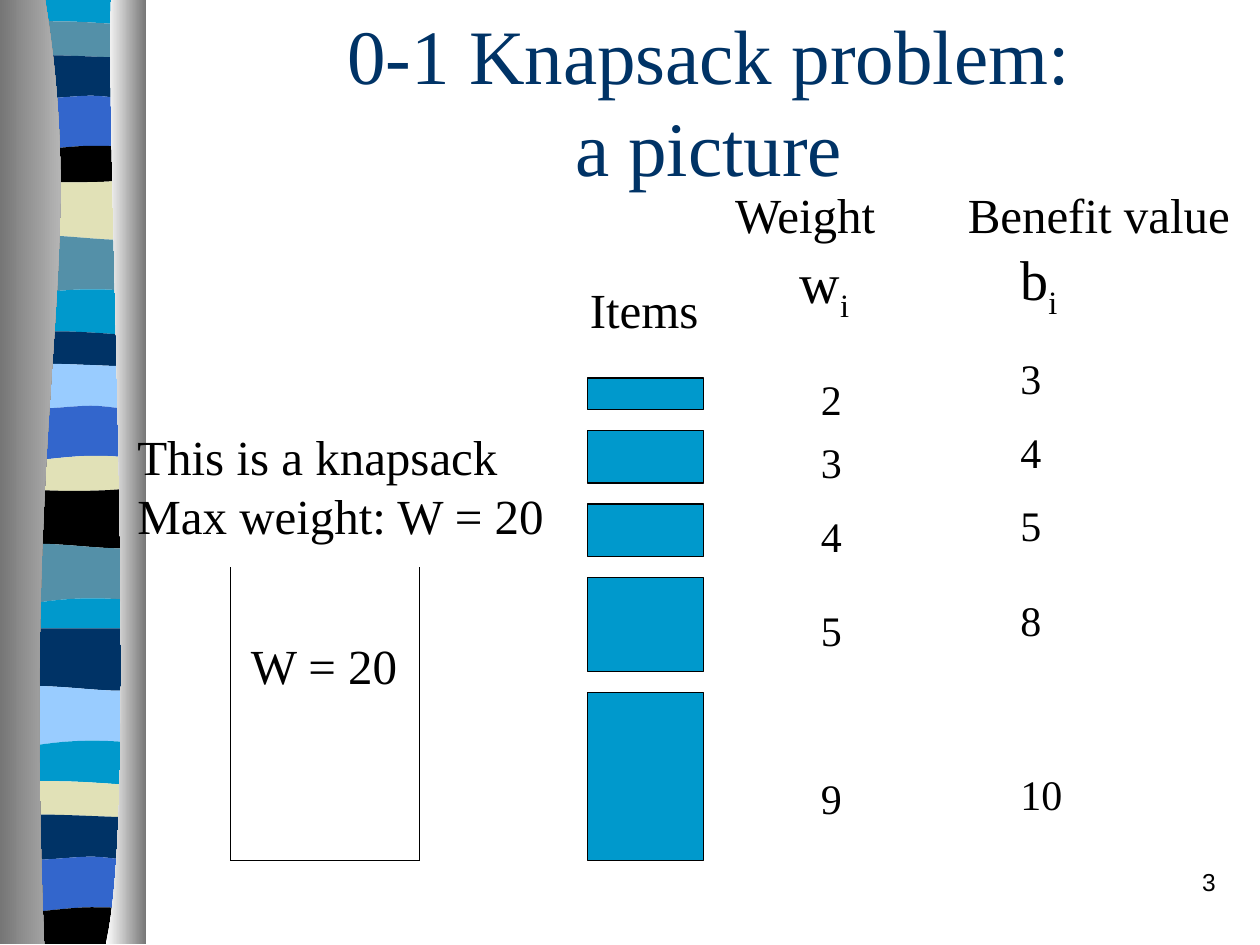
from itertools import pairwise

from lxml.etree import SubElement
from pptx import Presentation
from pptx.dml.color import RGBColor
from pptx.enum.shapes import MSO_CONNECTOR as Connector, MSO_SHAPE as Shape
from pptx.enum.text import MSO_ANCHOR as Anchor, MSO_AUTO_SIZE as AutoSize, PP_ALIGN as Align
from pptx.oxml.ns import qn
from pptx.util import Cm, Pt

COLORS = {"cyan": "0099CC", "teal": "5490A8", "navy": "003366", "blue": "3366CC",
          "black": "000000", "sand": "E1E1B7", "sky": "99CCFF",
          "gray": "767676", "silver": "D3D3D3", "white": "FFFFFF"}
SERIF = "Times New Roman"

TITLE = "0-1 Knapsack problem:\va picture"

# weight, benefit, bar height, top of weight, top of benefit (cm)
ITEMS = [
    ("2", "3", 0.64, 7.41, 6.99),
    ("3", "4", 1.06, 8.68, 8.47),
    ("4", "5", 1.06, 10.16, 9.95),
    ("5", "8", 1.9, 12.07, 11.85),
    ("9", "10", 3.39, 15.45, 15.37),
]
BAR_LEFT, BAR_TOP, BAR_WIDTH, BAR_GAP = 11.85, 7.62, 2.33, 0.42
WEIGHT_LEFT, BENEFIT_LEFT = 16.3, 20.32

# lines, left, top, width, height (cm)
LABELS = [
    (["W = 20"], 4.81, 12.68, 3.48, 1.45),
    (["Weight"], 14.57, 3.6, 3.4, 1.45),
    (["Benefit value"], 19.26, 3.6, 5.79, 1.45),
    (["This is a knapsack", "Max weight: W = 20"], 2.52, 8.47, 8.74, 2.64),
    (["Items"], 11.64, 5.52, 2.71, 1.45),
]
SYMBOLS = [("w", 15.87, 4.87), ("b", 20.32, 4.8)]
KNAPSACK = [(4.65, 11.43), (4.65, 17.35), (8.46, 17.35), (8.46, 11.43)]

# Bezier control points of the band edges, relative to the height of the edge (cm)
WAVES = {
    "flat": [(0.15, 0), (2.87, 0)],
    "crest": [(0.15, 0), (0.33, -0.13), (0.74, -0.1), (1.19, -0.1),
              (1.65, -0.1), (2.54, -0.03), (2.87, 0)],
    "lip": [(0.15, 0), (0.53, -0.13), (2.01, 0), (2.87, 0)],
    "sag": [(0.15, 0), (0.43, 0.15), (1.37, 0), (1.83, 0), (2.29, 0), (2.72, 0.15), (2.87, 0)],
    "arch": [(0.15, 0), (0.56, 0), (1.37, -0.13), (1.83, -0.13),
             (2.29, -0.13), (2.46, -0.13), (2.87, 0)],
    "bowl": [(0.15, 0), (0.58, 0.13), (2.41, 0.13), (2.87, 0)],
    "swell": [(0.15, 0), (0.99, -0.15), (2.41, 0.18), (2.87, 0)],
    "dip": [(0.15, 0), (0.58, 0.2), (0.99, -0.2), (2.87, 0)],
}
# colour, top edge, height of the edge
BANDS = [
    ("cyan", "flat", 0), ("teal", "crest", 0.53), ("navy", "lip", 1.17),
    ("blue", "sag", 1.93), ("black", "arch", 3.07), ("sand", "bowl", 3.58),
    ("teal", "swell", 4.78), ("cyan", "dip", 5.89), ("navy", "crest", 6.78),
    ("sky", "lip", 7.39), ("blue", "sag", 8.18), ("sand", "arch", 9.32),
    ("black", "bowl", 9.8), ("teal", "swell", 11), ("cyan", "dip", 12.12),
    ("navy", "flat", 12.67), ("sky", "swell", 13.87), ("cyan", "dip", 14.99),
    ("sand", "crest", 15.85), ("navy", "lip", 16.48), ("blue", "sag", 17.27),
    ("black", "arch", 18.42), (None, "flat", 19.03),
]
# curved inner edge, straight outer edge, gradient from left to right
COVERS = [
    ([(0.91, 0), (1.8, 5.49), (0.43, 7.52), (0.89, 19.03)], 0, ("gray", "silver")),
    ([(2.24, 0), (2.13, 3.18), (2.82, 16.41), (2.13, 19.03)], 2.95, ("white", "gray")),
]


def rgb(name):
    """Look up a colour by name."""
    return RGBColor.from_string(COLORS[name])


def add_outline(page, *edges):
    """Join edges to a closed outline; an edge of 3n + 1 points is a Bezier chain."""
    start, *rest = [(Cm(x), Cm(y)) for edge in edges for x, y in edge]
    builder = page.shapes.build_freeform(*start)
    builder.add_line_segments(rest, close=True)
    outline = builder.convert_to_shape()
    segments = list(outline._element.iter(qn("a:lnTo")))
    offset = 0
    for edge in edges:
        if len(edge) % 3 == 1:
            for index in range(offset, offset + len(edge) - 1, 3):
                curve, *others = segments[index:index + 3]
                curve.tag = qn("a:cubicBezTo")
                for other in others:
                    curve.append(other[0])
                    other.getparent().remove(other)
        offset += len(edge)
    outline.shadow.inherit = False
    outline.line.fill.background()
    return outline


def add_ribbon(page):
    """Draw the striped ribbon and the two shaded covers beside it."""
    edges = [[(x, y + top) for x, y in WAVES[wave]] for _, wave, top in BANDS]
    for (color, _, _), (upper, lower) in zip(BANDS, pairwise(edges)):
        band = add_outline(page, upper, lower[::-1])
        band.fill.solid()
        band.fill.fore_color.rgb = rgb(color)
    for curve, outer, shades in COVERS:
        cover = add_outline(page, curve, [(outer, 19.03), (outer, 0)])
        cover.fill.gradient()
        cover.fill.gradient_angle = 0
        for stop, shade in zip(cover.fill.gradient_stops, shades):
            stop.color.rgb = rgb(shade)


def style(para, size, color="black", font=SERIF):
    """Set the font of a paragraph."""
    para.font.size, para.font.name = Pt(size), font
    para.font.color.rgb = rgb(color)


def add_text(page, lines, left, top, width, height, size=28, font=SERIF, wrap=False):
    """Add a text box with one paragraph per line and return its frame."""
    frame = page.shapes.add_textbox(Cm(left), Cm(top), Cm(width), Cm(height)).text_frame
    frame.word_wrap = wrap
    frame.auto_size = AutoSize.NONE if wrap else AutoSize.SHAPE_TO_FIT_TEXT
    frame.text = "\n".join(lines)
    for para in frame.paragraphs:
        style(para, size, font=font)
    return frame


def add_items(page):
    """Stack the item bars and write weight and benefit beside them."""
    top = BAR_TOP
    for weight, benefit, height, weight_top, benefit_top in ITEMS:
        bar = page.shapes.add_shape(Shape.RECTANGLE, Cm(BAR_LEFT), Cm(top),
                                    Cm(BAR_WIDTH), Cm(height))
        bar.shadow.inherit = False
        bar.fill.solid()
        bar.fill.fore_color.rgb = rgb("cyan")
        bar.line.color.rgb, bar.line.width = rgb("black"), Pt(0.74)
        top += height + BAR_GAP
        for value, left, y in ((weight, WEIGHT_LEFT, weight_top),
                               (benefit, BENEFIT_LEFT, benefit_top)):
            add_text(page, [value], left, y, 0.49 + 0.43 * len(value), 1.27, size=24)


def add_knapsack(page):
    """Draw the open knapsack."""
    for (x1, y1), (x2, y2) in pairwise(KNAPSACK):
        side = page.shapes.add_connector(Connector.STRAIGHT, Cm(x1), Cm(y1), Cm(x2), Cm(y2))
        side.line.color.rgb, side.line.width = rgb("black"), Pt(0.74)
        SubElement(side._element.spPr, qn("a:effectLst"))


deck = Presentation()
deck.slide_width, deck.slide_height = Cm(25.4), Cm(19.05)
page = deck.slides.add_slide(deck.slide_layouts[5])

title = page.shapes.title
title.left, title.top, title.width, title.height = Cm(3.18), Cm(0.42), Cm(22.22), Cm(3.18)
frame = title.text_frame
frame.text = TITLE
frame.auto_size, frame.vertical_anchor = AutoSize.NONE, Anchor.MIDDLE
frame.paragraphs[0].alignment = Align.CENTER
style(frame.paragraphs[0], 44, "navy")

add_ribbon(page)
add_knapsack(page)
add_items(page)
for label in LABELS:
    add_text(page, *label)
for letter, left, top in SYMBOLS:
    para = add_text(page, [letter], left, top, 1.52, 1.8, size=32, wrap=True).paragraphs[0]
    span = para.add_run()
    span.text = "i"
    span._r.get_or_add_rPr().set("baseline", "-25000")

number = add_text(page, ["3"], 19.48, 17.35, 5.28, 1.27, size=14, font="Arial", wrap=True)
number.paragraphs[0].alignment = Align.RIGHT
number.paragraphs[0].space_before = Pt(8.8)

deck.save("out.pptx")
